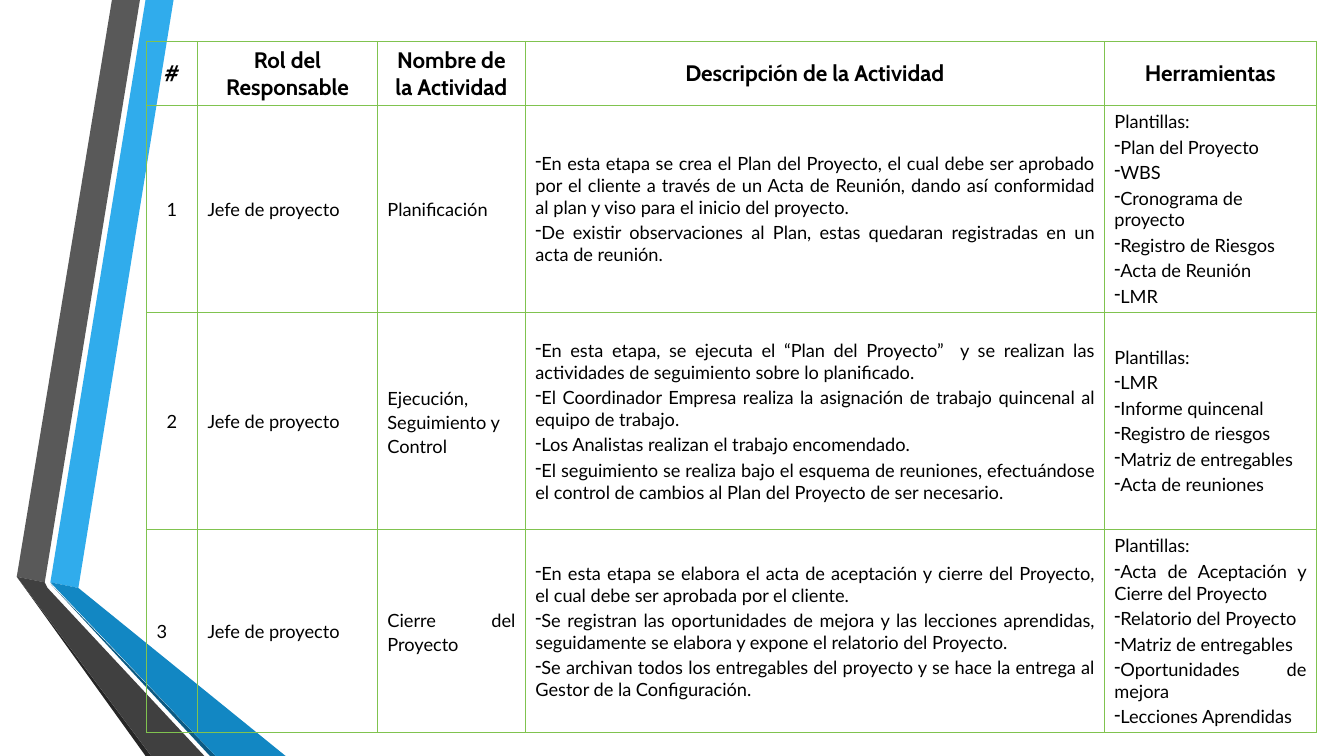
from lxml import etree
from pptx import Presentation
from pptx import util as u
from pptx.dml.color import RGBColor
from pptx.enum import text as t
from pptx.oxml import ns

BLACK = RGBColor(0, 0, 0)
GREEN = RGBColor(0x80, 0xC3, 0x4F)
SKY = RGBColor(0x30, 0xAC, 0xEC)
BLUE = RGBColor(0x12, 0x87, 0xC3)
NAVY = RGBColor(0x0C, 0x5A, 0x82)
GREY = RGBColor(0x59, 0x59, 0x59)
DARK = RGBColor(0x40, 0x40, 0x40)
COAL = RGBColor(0x26, 0x26, 0x26)
LEFT, MID, JUST = t.PP_ALIGN.LEFT, t.PP_ALIGN.CENTER, t.PP_ALIGN.JUSTIFY

deck = Presentation()
deck.slide_width, deck.slide_height = u.Pt(960), u.Pt(540)
slide = deck.slides.add_slide(deck.slide_layouts[6])


def write(cell, lines, size=13, font="Lato", bold=False, align=LEFT, lead=None):
    """Fill a cell; a line that starts with "-" becomes a dash bullet."""
    cell.vertical_anchor = t.MSO_ANCHOR.MIDDLE
    frame = cell.text_frame
    for i, line in enumerate(lines):
        par = frame.add_paragraph() if i else frame.paragraphs[0]
        par.alignment = align
        if lead:
            par.line_spacing = lead
        else:
            par.space_before = u.Pt(size * 0.2)
        if line.startswith("-"):
            props = par._p.get_or_add_pPr()
            props.set("marL", "0")
            props.set("indent", "0")
            etree.SubElement(props, ns.qn("a:buFontTx"))
            etree.SubElement(props, ns.qn("a:buChar")).set("char", "-")
        run = par.add_run()
        run.text = line.removeprefix("-")
        run.font.size, run.font.name = u.Pt(size), font
        run.font.bold, run.font.color.rgb = bold, BLACK


def frame_cell(cell):
    """Clear the fill and draw the four borders."""
    cell.fill.background()
    props = cell._tc.get_or_add_tcPr()
    for i, side in enumerate("LRTB"):
        edge = etree.Element(ns.qn("a:ln" + side), w=str(u.Pt(1)))
        fill = etree.SubElement(edge, ns.qn("a:solidFill"))
        etree.SubElement(fill, ns.qn("a:srgbClr")).set("val", str(GREEN))
        props.insert(i, edge)


# Folded ribbons on the left edge
bands = [
    (SKY, [(36, 416), (55.5, 420), (124.5, 0), (104.5, 0)]),
    (GREY, [(100, 0), (80, 0), (11.5, 412.5), (31.5, 415.5)]),
    (COAL, [(11.5, 412.5), (104.5, 540), (108.5, 540)]),
    (NAVY, [(36, 417), (150, 540), (154, 540)]),
    (BLUE, [(36, 416.5), (154, 540), (204, 540), (55.5, 420)]),
    (DARK, [(145.5, 540), (34.5, 420), (31.5, 415.5), (11.5, 412.5),
            (108.5, 540)]),
]
for color, points in bands:
    pen = slide.shapes.build_freeform(*points[0], scale=u.Pt(1))
    pen.add_line_segments(points[1:], close=True)
    band = pen.convert_to_shape()
    band.shadow.inherit = False
    band.fill.solid()
    band.fill.fore_color.rgb = color
    band.line.fill.background()

# Table content: number, role, activity, description, tools
heads = ["#", "Rol del Responsable", "Nombre de la Actividad",
         "Descripción de la Actividad", "Herramientas"]
role = "Jefe de proyecto"
steps = [
    ("Planificación", [
        "-En esta etapa se crea el Plan del Proyecto, el cual debe ser aprobado "
        "por el cliente a través de un Acta de Reunión, dando así conformidad "
        "al plan y viso para el inicio del proyecto.",
        "-De existir observaciones al Plan, estas quedaran registradas en un "
        "acta de reunión."],
     ["-Plan del Proyecto", "-WBS", "-Cronograma de proyecto",
      "-Registro de Riesgos", "-Acta de Reunión", "-LMR"]),
    ("Ejecución, Seguimiento y Control", [
        "-En esta etapa, se ejecuta el “Plan del Proyecto”  y se realizan las "
        "actividades de seguimiento sobre lo planificado.",
        "-El Coordinador Empresa realiza la asignación de trabajo quincenal al "
        "equipo de trabajo.",
        "-Los Analistas realizan el trabajo encomendado.",
        "-El seguimiento se realiza bajo el esquema de reuniones, efectuándose "
        "el control de cambios al Plan del Proyecto de ser necesario."],
     ["-LMR", "-Informe quincenal", "-Registro de riesgos",
      "-Matriz de entregables", "-Acta de reuniones"]),
    ("Cierre del Proyecto", [
        "-En esta etapa se elabora el acta de aceptación y cierre del Proyecto, "
        "el cual debe ser aprobada por el cliente.",
        "-Se registran las oportunidades de mejora y las lecciones aprendidas, "
        "seguidamente se elabora y expone el relatorio del Proyecto.",
        "-Se archivan todos los entregables del proyecto y se hace la entrega al "
        "Gestor de la Configuración."],
     ["-Acta de Aceptación y Cierre del Proyecto", "-Relatorio del Proyecto",
      "-Matriz de entregables", "-Oportunidades de mejora",
      "-Lecciones Aprendidas"]),
]

# Table grid
widths = [36.5, 128.5, 105.7, 413.6, 151.4]
heights = [45.7, 147.5, 155.4, 144.6]
grid = slide.shapes.add_table(
    len(heights), len(widths), u.Pt(104.6), u.Pt(29.6),
    u.Pt(sum(widths)), u.Pt(sum(heights))).table
grid.first_row = grid.horz_banding = False
for col, width in zip(grid.columns, widths):
    col.width = u.Pt(width)
for row, height in zip(grid.rows, heights):
    row.height = u.Pt(height)
for cell in grid.iter_cells():
    frame_cell(cell)

# Header row
for cell, head in zip(grid.rows[0].cells, heads):
    write(cell, [head], size=16, font="Cabin", bold=True, align=MID)

# Activity rows; the last one is justified throughout
for num, (name, about, tools) in enumerate(steps, 1):
    last = num == len(steps)
    side = JUST if last else LEFT
    cells = grid.rows[num].cells
    write(cells[0], [str(num)], align=JUST if last else MID)
    write(cells[1], [role], align=side)
    write(cells[2], [name], align=side, lead=None if num == 1 else 1.1)
    write(cells[3], about, align=JUST)
    write(cells[4], ["Plantillas:"] + tools, align=side)

deck.save("out.pptx")
